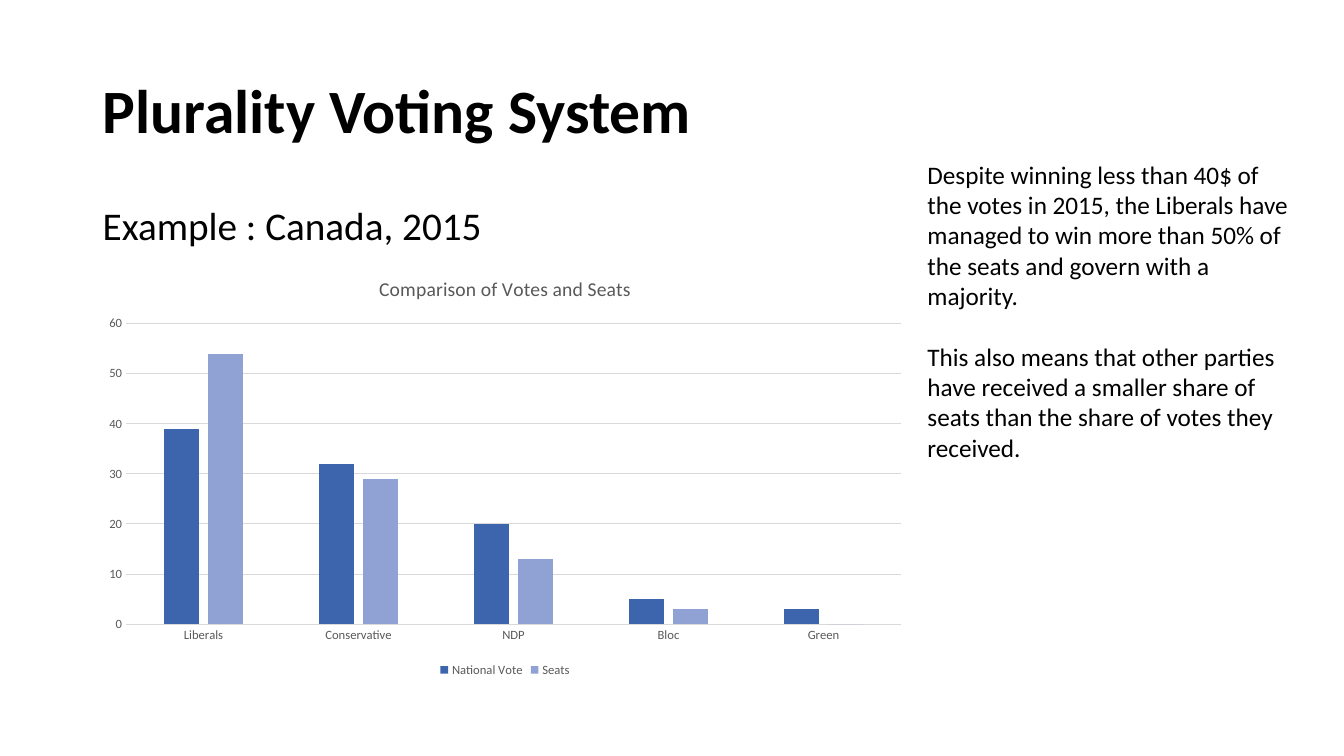
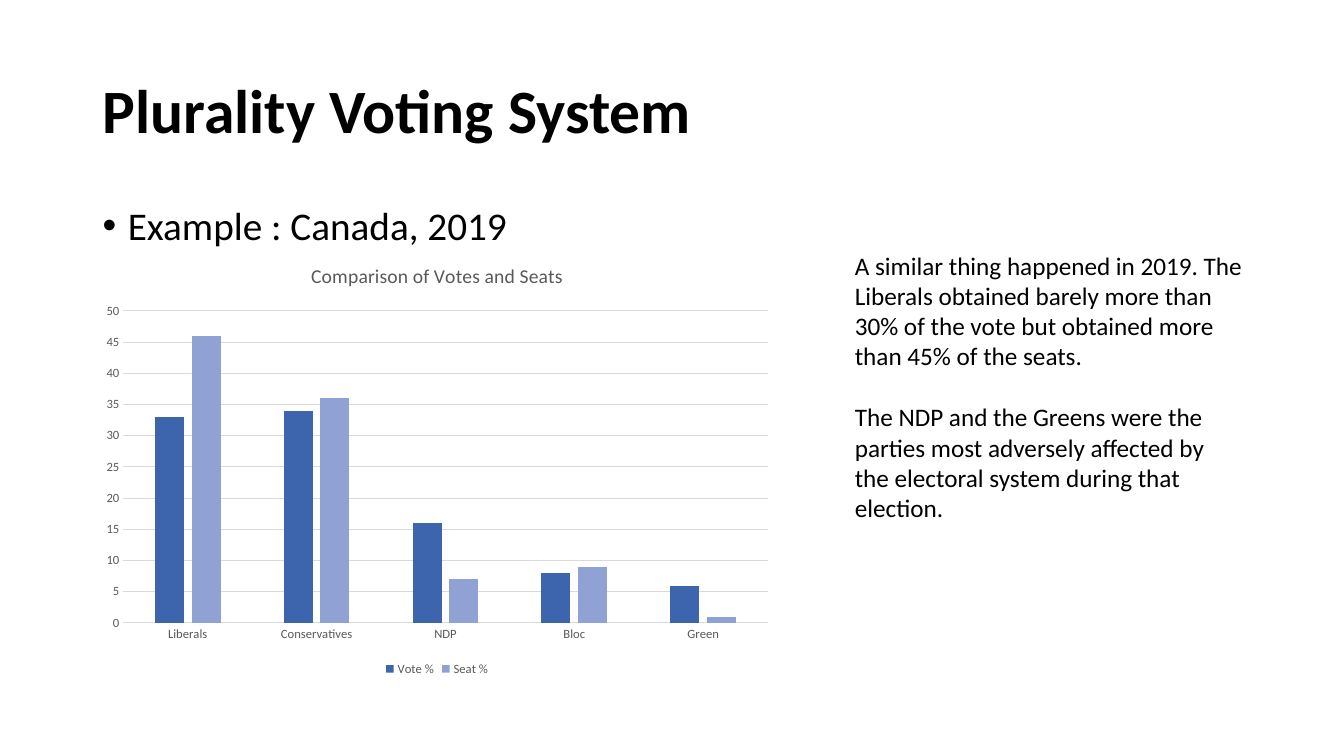
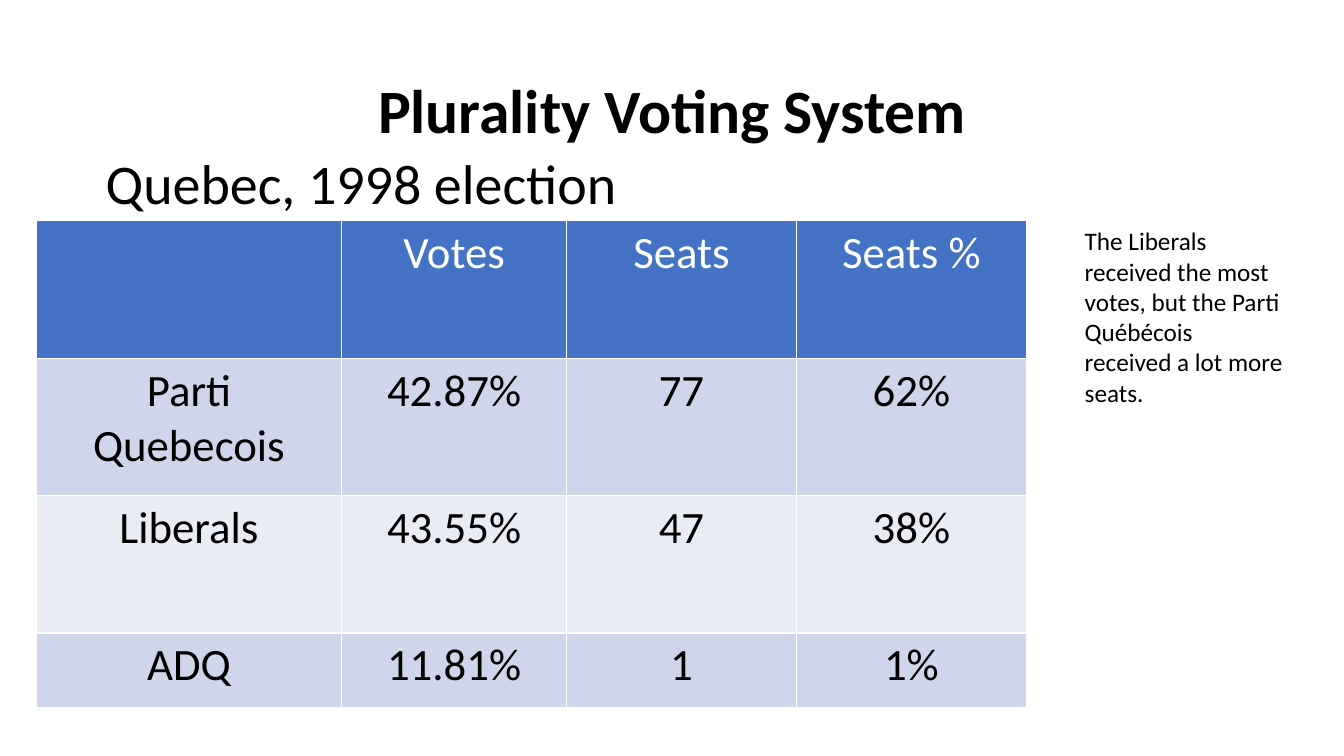
from lxml import etree
from pptx import Presentation
from pptx.chart.data import CategoryChartData
from pptx.dml.color import RGBColor
from pptx.enum.chart import XL_CHART_TYPE, XL_LEGEND_POSITION, XL_TICK_MARK
from pptx.enum.text import MSO_ANCHOR, MSO_AUTO_SIZE, PP_ALIGN
from pptx.oxml.ns import qn
from pptx.util import Inches, Pt

LEFT, CENTER = PP_ALIGN.LEFT, PP_ALIGN.CENTER
MIDDLE = MSO_ANCHOR.MIDDLE
GROW = MSO_AUTO_SIZE.SHAPE_TO_FIT_TEXT
COLUMNS = XL_CHART_TYPE.COLUMN_CLUSTERED
BOTTOM = XL_LEGEND_POSITION.BOTTOM
NO_TICK = XL_TICK_MARK.NONE

FONT = "Calibri"
BLACK, WHITE, GREY, GRID = "000000", "FFFFFF", "595959", "D9D9D9"
SERIES_COLORS = ["3C65AE", "90A2D3"]
HEADER_FILL = "4472C4"
ROW_FILLS = ["CFD5EA", "E9EBF5"]


def rgb(value):
    """Return the colour for a hex string."""
    return RGBColor.from_string(value)


def write_text(frame, *texts, size=18, color=BLACK, bold=False, align=LEFT,
               line_spacing=None, gap=0):
    """Write one paragraph per text, with a gap in points between them."""
    for index, text in enumerate(texts):
        paragraph = frame.add_paragraph() if index else frame.paragraphs[0]
        paragraph.alignment = align
        if line_spacing:
            paragraph.line_spacing = line_spacing
        if index:
            paragraph.space_before = Pt(gap)
        run = paragraph.add_run()
        run.text = text
        run.font.name = FONT
        run.font.size = Pt(size)
        run.font.bold = bold
        run.font.color.rgb = rgb(color)


presentation = Presentation()
presentation.slide_width = Inches(13.33)
presentation.slide_height = Inches(7.5)

# Slides and their shared title
slides = []
for title_align in (LEFT, LEFT, CENTER):
    slide = presentation.slides.add_slide(presentation.slide_layouts[5])
    title = slide.shapes.title
    title.left, title.top = Inches(0.92), Inches(0.4)
    title.width, title.height = Inches(11.5), Inches(1.45)
    title.text_frame.vertical_anchor = MIDDLE
    write_text(title.text_frame, "Plurality Voting System", size=44, bold=True,
               align=title_align, line_spacing=0.9)
    slides.append(slide)

# Canadian elections: heading, chart and commentary
elections = [
    {
        "heading": "Example : Canada, 2015",
        "bullet": False,
        "parties": ["Liberals", "Conservative", "NDP", "Bloc", "Green"],
        "series": {"National Vote": [39, 32, 20, 5, 3],
                   "Seats": [54, 29, 13, 3, 0]},
        "axis": (60, 10),
        "chart_box": (0.92, 2.56, 8.18, 4.2),
        "comment_box": (9.1, 1.53, 3.81, 3.13),
        "comments": [
            "Despite winning less than 40$ of the votes in 2015, the Liberals "
            "have managed to win more than 50% of the seats and govern with a "
            "majority.",
            "This also means that other parties have received a smaller share "
            "of seats than the share of votes they received.",
        ],
    },
    {
        "heading": "Example : Canada, 2019",
        "bullet": True,
        "parties": ["Liberals", "Conservatives", "NDP", "Bloc", "Green"],
        "series": {"Vote %": [33, 34, 16, 8, 6],
                   "Seat %": [46, 36, 7, 9, 1]},
        "axis": (50, 5),
        "chart_box": (0.92, 2.43, 6.83, 4.32),
        "comment_box": (8.38, 2.43, 4.04, 2.83),
        "comments": [
            "A similar thing happened in 2019. The Liberals obtained barely "
            "more than 30% of the vote but obtained more than 45% of the seats.",
            "The NDP and the Greens were the parties most adversely affected "
            "by the electoral system during that election.",
        ],
    },
]

for slide, election in zip(slides, elections):
    heading = slide.shapes.add_textbox(
        Inches(0.92), Inches(2), Inches(11.5), Inches(4.76)).text_frame
    heading.word_wrap = True
    write_text(heading, election["heading"], size=28, line_spacing=0.9)
    if election["bullet"]:
        properties = heading.paragraphs[0]._p.get_or_add_pPr()
        properties.set("marL", str(Inches(0.25)))
        properties.set("indent", str(Inches(-0.25)))
        etree.SubElement(properties, qn("a:buFont")).set("typeface", "Arial")
        etree.SubElement(properties, qn("a:buChar")).set("char", "•")

    chart_data = CategoryChartData()
    chart_data.categories = election["parties"]
    for name, values in election["series"].items():
        chart_data.add_series(name, values)
    chart = slide.shapes.add_chart(
        COLUMNS, *map(Inches, election["chart_box"]), chart_data).chart
    chart.font.name = FONT
    chart.font.size = Pt(9)
    chart.font.color.rgb = rgb(GREY)
    write_text(chart.chart_title.text_frame, "Comparison of Votes and Seats",
               size=14, color=GREY, align=CENTER)
    chart.has_legend = True
    chart.legend.position = BOTTOM
    chart.legend.include_in_layout = False

    plot = chart.plots[0]
    plot.vary_by_categories = False
    plot.gap_width = 219
    plot.overlap = -27
    for series, color in zip(plot.series, SERIES_COLORS):
        series.format.fill.solid()
        series.format.fill.fore_color.rgb = rgb(color)

    for axis in (chart.category_axis, chart.value_axis):
        axis.major_tick_mark = axis.minor_tick_mark = NO_TICK
    value_axis = chart.value_axis
    value_axis.minimum_scale = 0
    value_axis.maximum_scale, value_axis.major_unit = election["axis"]
    value_axis.format.line.fill.background()
    for line in (chart.category_axis.format.line,
                 value_axis.major_gridlines.format.line):
        line.color.rgb = rgb(GRID)
        line.width = Pt(0.75)

    comment = slide.shapes.add_textbox(
        *map(Inches, election["comment_box"])).text_frame
    comment.word_wrap = True
    comment.auto_size = GROW
    write_text(comment, *election["comments"], gap=22)

# Quebec election: results table with two texts
quebec = slides[2]
results = [
    ["", "Votes", "Seats", "Seats %"],
    ["Parti Quebecois", "42.87%", "77", "62%"],
    ["Liberals", "43.55%", "47", "38%"],
    ["ADQ", "11.81%", "1", "1%"],
]
table = quebec.shapes.add_table(
    len(results), len(results[0]),
    Inches(0.36), Inches(2.19), Inches(9.82), Inches(4.82)).table
for column, width in zip(table.columns, (3.03, 2.23, 2.28, 2.28)):
    column.width = Inches(width)
for row, height in zip(table.rows, (1.37, 1.36, 1.36, 0.74)):
    row.height = Inches(height)
for row_index, row_texts in enumerate(results):
    is_header = row_index == 0
    fill = HEADER_FILL if is_header else ROW_FILLS[(row_index - 1) % 2]
    for column_index, text in enumerate(row_texts):
        cell = table.cell(row_index, column_index)
        cell.fill.solid()
        cell.fill.fore_color.rgb = rgb(fill)
        if text:
            write_text(cell.text_frame, text, size=32, align=CENTER,
                       color=WHITE if is_header else BLACK)

quebec_texts = [
    ("Quebec, 1998 election", 40, (0.95, 1.42, 7.06, 0.77)),
    ("The Liberals received the most votes, but the Parti Québécois received "
     "a lot more seats.", 18, (10.66, 2.19, 2.18, 1.92)),
]
for text, size, box in quebec_texts:
    frame = quebec.shapes.add_textbox(*map(Inches, box)).text_frame
    frame.word_wrap = True
    frame.auto_size = GROW
    write_text(frame, text, size=size)

presentation.save("out.pptx")
